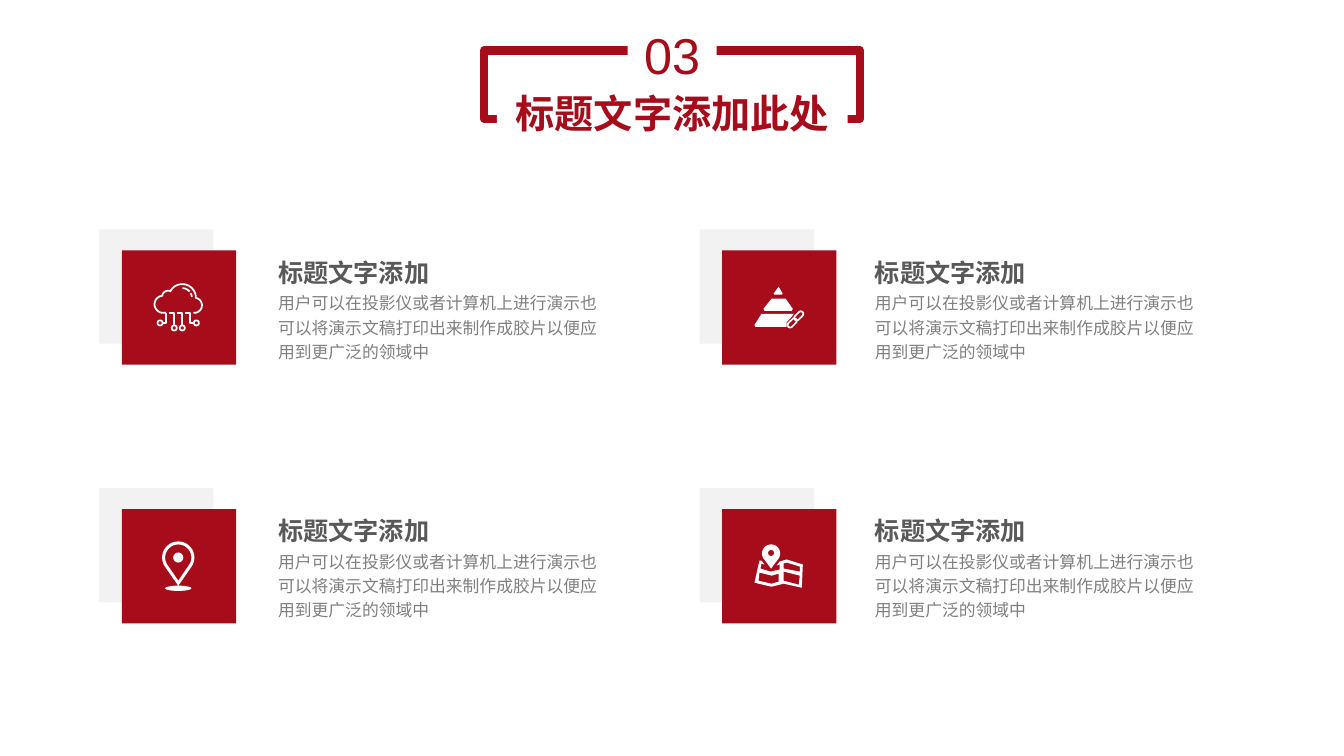
from math import acos, cos, degrees, radians, sin

from pptx import Presentation
from pptx.dml.color import RGBColor
from pptx.enum.shapes import MSO_SHAPE
from pptx.enum.text import MSO_ANCHOR, PP_ALIGN
from pptx.util import Cm, Pt

RED = RGBColor(0xA7, 0x0C, 0x1B)
WHITE = RGBColor(0xFF, 0xFF, 0xFF)
PALE_GRAY = RGBColor(0xF2, 0xF2, 0xF2)
HEADING_GRAY = RGBColor(0x59, 0x59, 0x59)
BODY_GRAY = RGBColor(0x80, 0x80, 0x80)
CJK_FONT = "Noto Sans CJK SC"
HEADING = "标题文字添加"
BODY = "用户可以在投影仪或者计算机上进行演示也可以将演示文稿打印出来制作成胶片以便应用到更广泛的领域中"


def arc(x, y, radius, start=0, end=360, flatten=1):
    """Return points clockwise around x, y; flatten scales the height."""
    steps = 24
    angles = [radians(start + (end - start) * i / steps) for i in range(steps + 1)]
    return [(x + radius * cos(a), y + radius * flatten * sin(a)) for a in angles]


def write(shape, text, size, color, font_name, bold=False):
    frame = shape.text_frame
    frame.word_wrap = True
    frame.text = text
    paragraph = frame.paragraphs[0]
    font = paragraph.font
    font.size, font.bold, font.name = Pt(size), bold, font_name
    font.color.rgb = color
    return paragraph


presentation = Presentation()
presentation.slide_width = Cm(33.87)
presentation.slide_height = Cm(19.05)
slide = presentation.slides.add_slide(presentation.slide_layouts[5])
shapes = slide.shapes

# Title frame, number and title
frame_box = shapes.add_shape(MSO_SHAPE.RECTANGLE, Cm(12.2), Cm(1.27), Cm(9.47), Cm(1.73))
frame_box.shadow.inherit = False
frame_box.fill.background()
frame_box.line.color.rgb = RED
frame_box.line.width = Pt(6)

number = shapes.add_shape(MSO_SHAPE.RECTANGLE, Cm(15.82), Cm(0.46), Cm(2.24), Cm(1.8))
number.shadow.inherit = False
number.line.fill.background()
title = shapes.title
title.left, title.top, title.width, title.height = Cm(12.52), Cm(2.11), Cm(8.84), Cm(1.45)
title.element.getparent().append(title.element)  # in front of the frame
for shape, text, size, bold in ((number, "03", 36, False), (title, "标题文字添加此处", 28, True)):
    shape.fill.solid()
    shape.fill.fore_color.rgb = WHITE
    shape.text_frame.vertical_anchor = MSO_ANCHOR.MIDDLE
    write(shape, text, size, RED, "Arial", bold).alignment = PP_ALIGN.CENTER

# Icon outlines, in hundredths of an inch from the corner of the red tile
cloud = (
    [(44, 62)] + arc(41, 53.5, 8.5, 90, 265) + arc(46, 46, 6, 190, 290)
    + arc(60, 47, 13.5, 208, 360) + arc(72, 54.5, 7.5, -75, 90) + [(71, 62)]
)
cloud_lines = [
    cloud,
    arc(60, 47, 9.5, 270, 320),
    arc(60, 47, 9.5, 332, 355),
    [(44, 62), (44, 72), (41, 72)],
    [(47, 62), (52, 62), (52, 74)],
    [(55, 62), (60, 62), (60, 74)],
    [(63, 62), (68, 62), (68, 72), (71, 72)],
] + [arc(x, y, 2.5) for x, y in ((38, 72), (52, 77), (60, 77), (74, 72))]

pyramid = [
    [(56, 36), (60, 43), (59, 44), (52, 44), (51, 43)],
    [(49, 48), (63, 48), (70, 58), (69, 60), (42, 60), (41, 58)],
    [(39, 63), (71, 63), (68, 67), (64, 71), (64, 76), (33, 76), (32, 74)],
]
chain = [
    arc(x + 2, y - 2, 2.5, -135, 45) + arc(x - 2, y + 2, 2.5, 45, 225) + [(x + 0.23, y - 3.77)]
    for x, y in ((69.5, 72), (76, 65))
]

pins = []
for x, y, radius, tip in ((56, 48, 16, 76), (56, 48, 13, 71), (48.5, 44, 9, 59)):
    tangent = 90 - degrees(acos(radius / (tip - y)))
    pins.append(arc(x, y, radius, 180 - tangent, 360 + tangent) + [(x, tip)])
location = [pins[0], pins[1], arc(56, 48, 5), arc(56, 78.5, 13, flatten=0.2)]
folded_map = [
    [(64, 50), (80, 55), (79, 78), (61, 74), (49, 77), (32, 73), (37, 51), (39, 51),
     (42, 55), (39, 54), (38, 59), (48, 62), (57, 60), (57, 55), (54, 56), (57, 52)],
    [(37, 63), (36, 71), (49, 74), (56, 72), (56, 64), (49, 66)],
    [(61, 62), (61, 71), (76, 75), (77, 66)],
    [(64, 53), (61, 54), (61, 59), (77, 62), (77, 57)],
    pins[2],
    arc(48.5, 43.5, 3),
]

# Cards: column, row, filled outlines, drawn lines
cards = [
    (0, 0, [], cloud_lines),
    (0, 1, location, []),
    (1, 0, pyramid, chain),
    (1, 1, folded_map, []),
]
for column, row, outlines, lines in cards:
    tile_left, row_top = 3.07 + 15.13 * column, 6.52 * row
    tile_top = 6.31 + row_top
    text_left = 6.76 + 15.04 * column

    for left, top, color in (
        (tile_left - 0.57, tile_top - 0.53, PALE_GRAY),
        (tile_left, tile_top, RED),
    ):
        tile = shapes.add_shape(MSO_SHAPE.RECTANGLE, Cm(left), Cm(top), Cm(2.88), Cm(2.88))
        tile.shadow.inherit = False
        tile.fill.solid()
        tile.fill.fore_color.rgb = color
        tile.line.fill.background()

    for contours, filled in ((outlines, True), (lines, False)):
        if not contours:
            continue
        points = [[(x * 10, y * 10) for x, y in contour] for contour in contours]
        builder = shapes.build_freeform(*points[0][0], scale=Cm(0.0254) / 10)
        builder.add_line_segments(points[0][1:], close=filled)
        for contour in points[1:]:
            builder.move_to(*contour[0])
            builder.add_line_segments(contour[1:], close=filled)
        icon = builder.convert_to_shape(Cm(tile_left), Cm(tile_top))
        icon.shadow.inherit = False
        if filled:
            icon.fill.solid()
            icon.fill.fore_color.rgb = WHITE
            icon.line.fill.background()
        else:
            icon.fill.background()
            icon.line.color.rgb = WHITE
            icon.line.width = Pt(1.25)

    for top, width, height, text, size, color, bold in (
        (7.16, 8.61, 2.11, BODY, 12, BODY_GRAY, False),
        (6.2, 6.22, 1.09, HEADING, 18, HEADING_GRAY, True),
    ):
        box = shapes.add_textbox(Cm(text_left), Cm(top + row_top), Cm(width), Cm(height))
        write(box, text, size, color, CJK_FONT, bold).line_spacing = 1.2

presentation.save("out.pptx")
